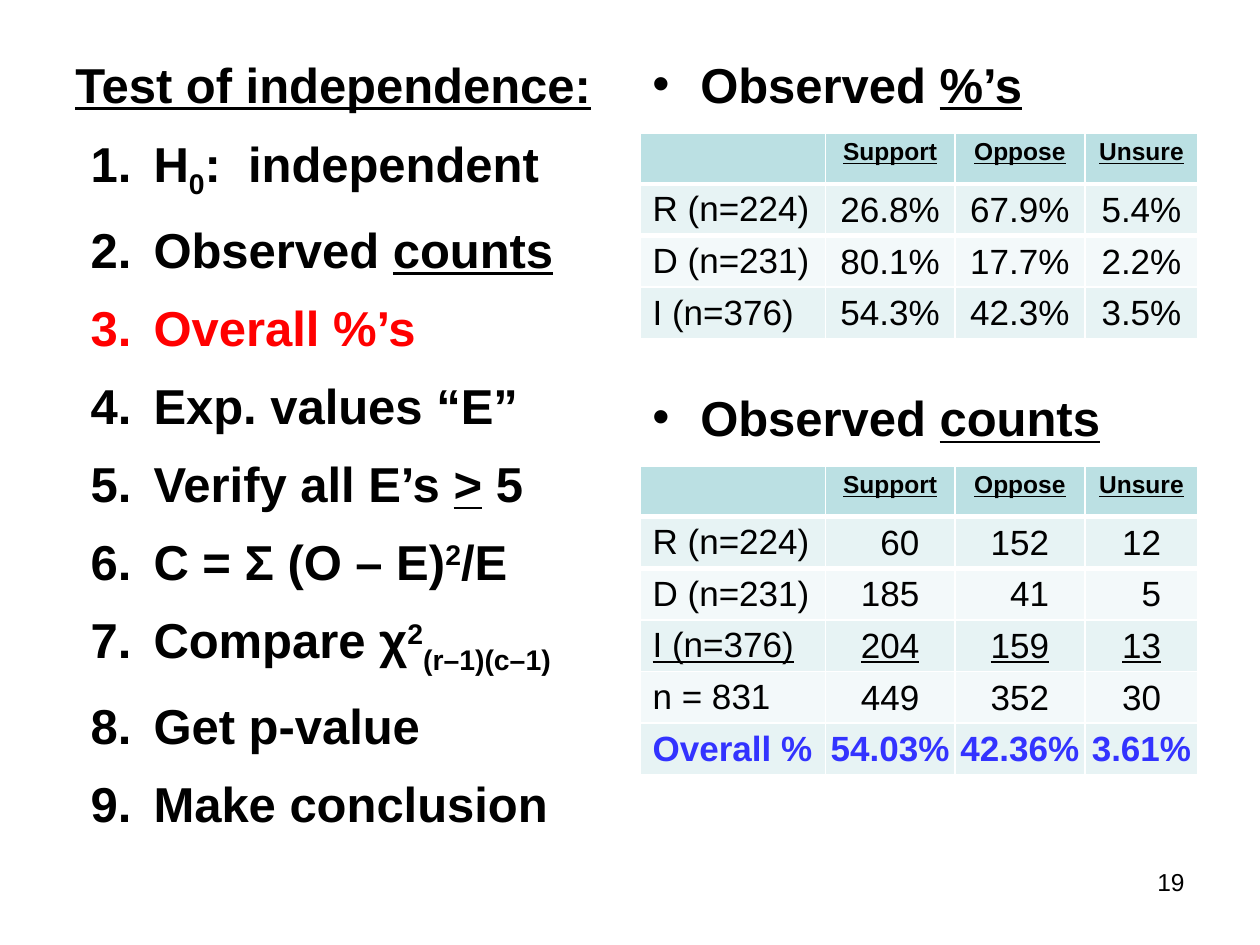
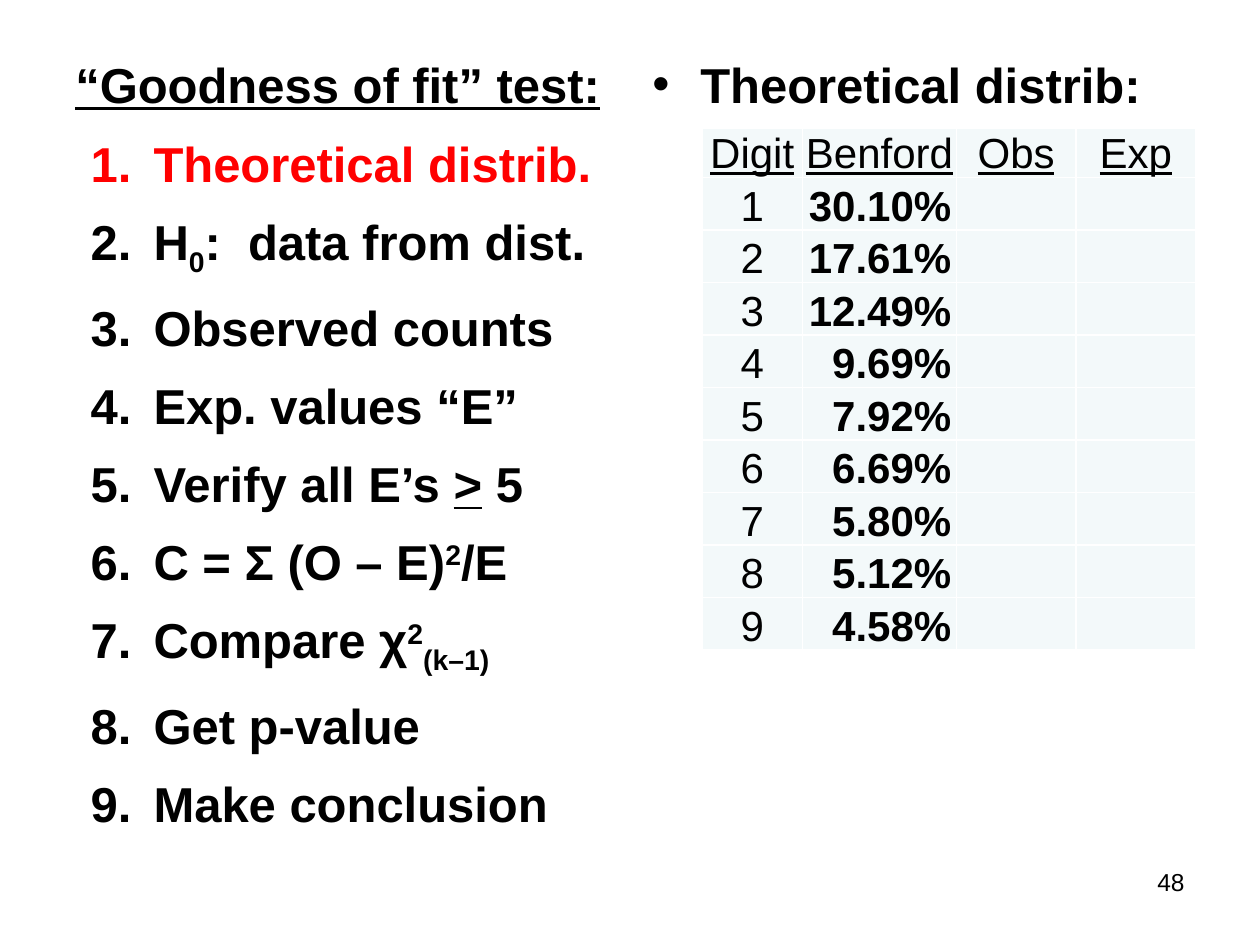
from dataclasses import dataclass

from lxml import etree
from pptx import Presentation
from pptx import util as u
from pptx.dml.color import RGBColor
from pptx.enum import shapes, text
from pptx.oxml import ns

ALIGN = text.PP_ALIGN
ANCHOR = text.MSO_ANCHOR


@dataclass(frozen=True)
class Theme:
    font: str = "Arial"
    ink: str = "000000"
    paper: str = "FFFFFF"
    current: str = "FF0000"
    result: str = "3333FF"
    header: str = "BBE0E3"
    band: str = "E7F3F4"
    pale: str = "F3F9FA"
    panel_alpha: int = 90
    heading_size: float = 28
    digit_size: float = 24
    cell_size: float = 20
    small_size: float = 14


THEME = Theme()

# Regions, as left, top, width, height in inches
LEFT_BOX = (0.5, 0.38, 4.42, 6.37)
RIGHT_BOX = (5.08, 0.38, 4.42, 6.37)
NUMBER_BOX = (7.17, 6.83, 2.33, 0.52)

# Run formats
UNDER = {"underline": True}
SUB = {"baseline": -25}
SUPER = {"baseline": 30}

# Steps that both tests share
NULL = ("H", {}), ("0", SUB)
EXPECTED = [
    [("Exp. values “E”", {})],
    [("Verify all E’s ", {}), (">", UNDER), (" 5", {})],
    [("C = Σ (O – E)", {}), ("2", SUPER), ("/E", {})],
]
COMPARE = ("Compare χ", {}), ("2", SUPER)
FINISH = [[("Get p-value", {})], [("Make conclusion", {})]]

GROUPS = ["R (n=224)", "D (n=231)", "I (n=376)"]
ANSWERS = ["", "Support", "Oppose", "Unsure"]
PERCENTS = [
    ["26.8%", "67.9%", "5.4%"],
    ["80.1%", "17.7%", "2.2%"],
    ["54.3%", "42.3%", "3.5%"],
]
COUNTS = [["60", "152", "12"], ["185", "41", "5"], ["204", "159", "13"]]
TOTALS = ["n = 831", "449", "352", "30"]
OVERALL = ["Overall %", "54.03%", "42.36%", "3.61%"]
BENFORD = ["30.10%", "17.61%", "12.49%", "9.69%", "7.92%",
           "6.69%", "5.80%", "5.12%", "4.58%"]


def set_values(target, values):
    for name, value in values.items():
        setattr(target, name, value)


def inches(lengths):
    return [u.Inches(length) for length in lengths]


def add_child(parent, tag, **values):
    return etree.SubElement(parent, ns.qn(tag), **values)


def set_fill(target, color):
    target.fill.solid()
    target.fill.fore_color.rgb = RGBColor.from_string(color)


def add_span(para, words, size, color=THEME.ink, baseline=0, **values):
    span = para.add_run()
    span.text = words
    set_values(span.font, {"name": THEME.font, "size": u.Pt(size), **values})
    span.font.color.rgb = RGBColor.from_string(color)
    if baseline:
        span.font._element.set("baseline", str(baseline * 1000))


def add_bullet(para, left, hanging, tag, **values):
    props = para._p.get_or_add_pPr()
    props.set("marL", str(u.Inches(left)))
    props.set("indent", str(-u.Inches(hanging)))
    add_child(props, "a:buFont", typeface=THEME.font)
    add_child(props, tag, **values)


def add_panel(page, box):
    """Slightly see-through paper panel that holds a list."""
    panel = page.shapes.add_shape(shapes.MSO_SHAPE.RECTANGLE, *inches(box))
    panel.shadow.inherit = False
    panel.line.fill.background()
    set_fill(panel, THEME.paper)
    for color in panel._element.spPr.iter(ns.qn("a:srgbClr")):
        add_child(color, "a:alpha", val=str(THEME.panel_alpha * 1000))
    frame = panel.text_frame
    set_values(frame, {"word_wrap": True, "vertical_anchor": ANCHOR.TOP})
    return frame


def add_para(frame, spans, before, **common):
    first = frame.paragraphs[0]
    para = frame.add_paragraph() if first.runs else first
    set_values(para, {"space_before": u.Pt(before), "alignment": ALIGN.LEFT})
    for words, values in spans:
        add_span(para, words, THEME.heading_size, bold=True, **common, **values)
    return para


def step_list(page, box, title, steps, current):
    """Underlined title over numbered steps, the current one coloured."""
    frame = add_panel(page, box)
    add_para(frame, [(title, UNDER)], 3.6)
    for index, spans in enumerate(steps):
        color = THEME.current if index == current else THEME.ink
        para = add_para(frame, spans, 11 if index else 11.6, color=color)
        add_bullet(para, 0.62, 0.5, "a:buAutoNum", type="arabicPeriod")


def heading_list(page, box, headings):
    """Bulleted headings, with room for a table below each one."""
    frame = add_panel(page, box)
    for index, spans in enumerate(headings):
        para = add_para(frame, spans, 157 if index else 3.6)
        add_bullet(para, 0.38, 0.38, "a:buChar", char="•")


def page_number(page, box, number):
    frame = page.shapes.add_textbox(*inches(box)).text_frame
    frame.word_wrap = True
    para = frame.paragraphs[0]
    para.alignment = ALIGN.RIGHT
    add_span(para, number, THEME.small_size)


def add_grid(page, left, top, widths, heights, has_header):
    box = inches((left, top, sum(widths), sum(heights)))
    grid = page.shapes.add_table(len(heights), len(widths), *box).table
    set_values(grid, {"first_row": has_header, "horz_banding": False})
    for column, width in zip(grid.columns, widths):
        column.width = u.Inches(width)
    for row, height in zip(grid.rows, heights):
        row.height = u.Inches(height)
    return grid


def add_border(cell, tag, width):
    line = etree.Element(ns.qn(tag), w=str(u.Pt(width)))
    fill = add_child(line, "a:solidFill")
    add_child(fill, "a:srgbClr", val=THEME.paper)
    cell._tc.get_or_add_tcPr().insert(0, line)


def fill_cell(cell, words, fill, align, anchor, margins, size,
              spacing=None, **values):
    set_fill(cell, fill)
    cell.vertical_anchor = anchor
    sides = ("margin_left", "margin_top", "margin_right", "margin_bottom")
    set_values(cell, dict(zip(sides, inches(margins))))
    if words:
        para = cell.text_frame.paragraphs[0]
        set_values(para, {"alignment": align, "line_spacing": spacing})
        add_span(para, words, size, **values)


def survey_table(page, box, top, rows, formats, digits=None):
    """Answers by group; whole numbers line up on their last digit."""
    widths = (1.47, 1.03, 1.03, 0.9)
    heights = [0.4] + [0.41] * len(rows)
    grid = add_grid(page, box[0], box[1] + top, widths, heights, True)
    for column, words in enumerate(ANSWERS):
        fill_cell(grid.cell(0, column), words, THEME.header, ALIGN.CENTER,
                  ANCHOR.TOP, (0.05, 0.04, 0.05, 0.05), THEME.small_size,
                  bold=True, underline=True)
        add_border(grid.cell(0, column), "a:lnB", 3)
        add_border(grid.cell(1, column), "a:lnT", 3)
    for index, row in enumerate(rows):
        values = {"bold": False, **formats.get(index, {})}
        fill = THEME.pale if index % 2 else THEME.band
        for column, words in enumerate(row):
            align, anchor = ALIGN.CENTER, ANCHOR.MIDDLE
            margins = (0.01, 0.01, 0.01, 0)
            if column == 0:
                align, anchor = ALIGN.LEFT, ANCHOR.TOP
                margins = (0.1, 0.05, 0.01, 0.01)
            elif digits and words.isdigit():
                digit_width = 0.556 * THEME.cell_size / 72
                gap = (widths[column] - digits[column - 1] * digit_width) / 2
                align, margins = ALIGN.RIGHT, (0.01, 0.01, gap, 0)
            fill_cell(grid.cell(index + 1, column), words, fill, align,
                      anchor, margins, THEME.cell_size, **values)


def digit_table(page, box):
    """Expected share of each first digit, with columns left to fill in."""
    widths = (0.8, 1.22, 0.95, 0.95)
    header_height, height = 0.39, 4.14
    row_height = (height - header_height) / len(BENFORD)
    heights = [header_height] + [row_height] * len(BENFORD)
    grid = add_grid(page, box[0] + 0.49, box[1] + 0.64, widths, heights, False)
    rows = [["Digit", "Benford", "Obs", "Exp"]]
    rows += [[str(digit), share, "", ""]
             for digit, share in enumerate(BENFORD, 1)]
    for index, row in enumerate(rows):
        for column, words in enumerate(row):
            is_share = index > 0 and column == 1
            fill_cell(grid.cell(index, column), words, THEME.pale,
                      ALIGN.RIGHT if is_share else ALIGN.CENTER, ANCHOR.BOTTOM,
                      (0.01, 0, 0.04 if is_share else 0.01, 0),
                      THEME.digit_size, spacing=u.Pt(27.6),
                      bold=is_share, underline=index == 0)


def independence_page(page):
    steps = [
        [*NULL, (":  independent", {})],
        [("Observed ", {}), ("counts", UNDER)],
        [("Overall %’s", {})],
        *EXPECTED,
        [*COMPARE, ("(r–1)(c–1)", SUB)],
        *FINISH,
    ]
    step_list(page, LEFT_BOX, "Test of independence:", steps, current=2)
    heading_list(page, RIGHT_BOX, [
        [("Observed ", {}), ("%’s", UNDER)],
        [("Observed ", {}), ("counts", UNDER)],
    ])
    page_number(page, NUMBER_BOX, "19")
    percents = [[group, *row] for group, row in zip(GROUPS, PERCENTS)]
    counts = [[group, *row] for group, row in zip(GROUPS, COUNTS)]
    survey_table(page, RIGHT_BOX, 3.32, counts + [TOTALS, OVERALL],
                 {2: UNDER, 4: {"bold": True, "color": THEME.result}},
                 digits=(3, 3, 2))
    survey_table(page, RIGHT_BOX, 0.68, percents, {})


def goodness_page(page):
    steps = [
        [("Theoretical distrib.", {})],
        [*NULL, (":  data from dist.", {})],
        [("Observed counts", {})],
        *EXPECTED,
        [*COMPARE, ("(k–1)", SUB)],
        *FINISH,
    ]
    step_list(page, LEFT_BOX, "“Goodness of fit” test:", steps, current=0)
    page_number(page, NUMBER_BOX, "48")
    heading_list(page, RIGHT_BOX, [[("Theoretical distrib:", {})]])
    digit_table(page, RIGHT_BOX)


def main():
    deck = Presentation()
    set_values(deck, {"slide_width": u.Inches(10), "slide_height": u.Inches(7.5)})
    for build in (independence_page, goodness_page):
        page = deck.slides.add_slide(deck.slide_layouts[6])
        set_fill(page.background, THEME.paper)
        build(page)
    deck.save("out.pptx")


if __name__ == "__main__":
    main()
